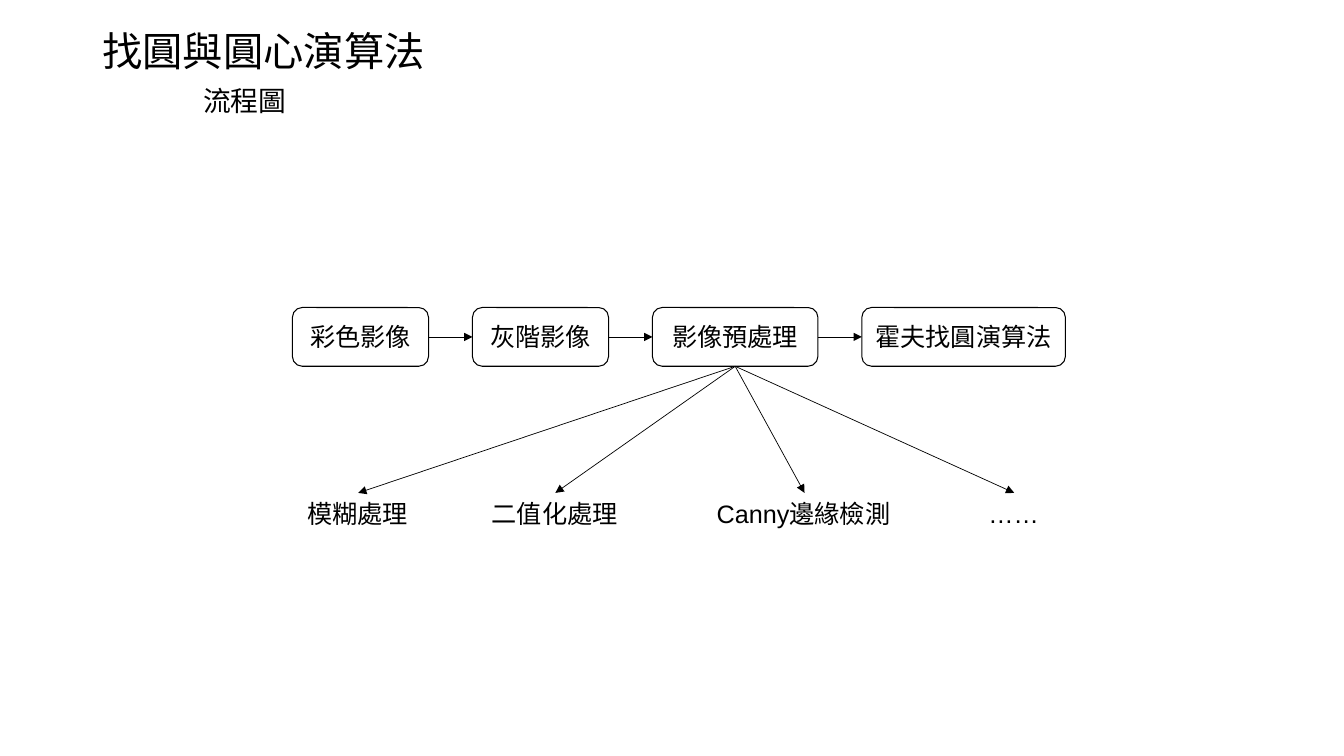
from dataclasses import dataclass

from lxml.etree import SubElement
from pptx import Presentation
from pptx.dml.color import RGBColor
from pptx.enum.shapes import MSO_CONNECTOR as Conn, MSO_SHAPE as Shape
from pptx.enum.text import MSO_ANCHOR as Anchor, PP_ALIGN as Align
from pptx.oxml.ns import qn
from pptx.util import Cm, Pt


@dataclass(frozen=True)
class Theme:
    font: str = "Arial"
    ink: RGBColor = RGBColor(0, 0, 0)
    title: float = 28.8
    subtitle: float = 19.8
    body: float = 18
    outline: float = 0.75
    arrow: float = 0.5


THEME = Theme()
TOP, LEFT, BOTTOM, RIGHT = range(4)

STEPS = [("彩色影像", 3.43), ("灰階影像", 3.43), ("影像預處理", 4.17), ("霍夫找圓演算法", 5.13)]
METHODS = [
    ("模糊處理", 0, 3.07),
    ("二值化處理", 4.65, 3.71),
    ("Canny邊緣檢測", 10.32, 4.93),
    ("……", 17.17, 1.8),
]


def add_run(p, text, size):
    r = p.add_run()
    r.text = text
    r.font.name = THEME.font
    r.font.size = Pt(size)
    r.font.color.rgb = THEME.ink


def add_label(s, text, x, y, w, h):
    sp = s.shapes.add_textbox(Cm(x), Cm(y), Cm(w), Cm(h))
    tf = sp.text_frame
    tf.word_wrap = True
    add_run(tf.paragraphs[0], text, THEME.body)
    return sp


def add_step(s, text, x, y, w, h):
    sp = s.shapes.add_shape(Shape.ROUNDED_RECTANGLE, Cm(x), Cm(y), Cm(w), Cm(h))
    sp.shadow.inherit = False
    sp.fill.background()
    sp.line.color.rgb = THEME.ink
    sp.line.width = Pt(THEME.outline)
    tf = sp.text_frame
    tf.word_wrap = False
    tf.vertical_anchor = Anchor.MIDDLE
    p = tf.paragraphs[0]
    p.alignment = Align.CENTER
    add_run(p, text, THEME.body)
    return sp


def add_arrow(s, start, start_site, end, end_site):
    c = s.shapes.add_connector(Conn.STRAIGHT, 0, 0, 0, 0)
    c.begin_connect(start, start_site)
    c.end_connect(end, end_site)
    c.line.color.rgb = THEME.ink
    c.line.width = Pt(THEME.arrow)
    SubElement(c.line._get_or_add_ln(), qn("a:tailEnd"), type="triangle")
    SubElement(c._element.spPr, qn("a:effectLst"))


def heading(s, x, y, w, h):
    tf = s.shapes.add_textbox(Cm(x), Cm(y), Cm(w), Cm(h)).text_frame
    tf.word_wrap = True
    tf.vertical_anchor = Anchor.MIDDLE
    title, subtitle = tf.paragraphs[0], tf.add_paragraph()
    add_run(title, "找圓與圓心演算法", THEME.title)
    add_run(subtitle, "流程圖", THEME.subtitle)
    title.line_spacing = subtitle.line_spacing = 0.9
    subtitle.space_before = Pt(9)
    subtitle._p.get_or_add_pPr().set("marL", str(Cm(2.54)))


def step_chain(s, x, y, w, h):
    gap = (w - sum(width for _, width in STEPS)) / (len(STEPS) - 1)
    steps = []
    for text, width in STEPS:
        steps.append(add_step(s, text, x, y, width, h))
        x += width + gap
    for start, end in zip(steps, steps[1:]):
        add_arrow(s, start, RIGHT, end, LEFT)
    return steps


def method_branches(s, parent, x, y, h):
    for text, offset, width in METHODS:
        label = add_label(s, text, x + offset, y, width, h)
        add_arrow(s, parent, BOTTOM, label, TOP)


def main():
    prs = Presentation()
    prs.slide_width, prs.slide_height = Cm(33.87), Cm(19.05)
    s = prs.slides.add_slide(prs.slide_layouts[6])
    heading(s, 2.33, 1.01, 29.21, 1.73)
    steps = step_chain(s, 7.37, 7.75, 19.48, 1.48)
    method_branches(s, steps[2], 7.49, 12.42, 1.03)
    prs.save("out.pptx")


if __name__ == "__main__":
    main()
